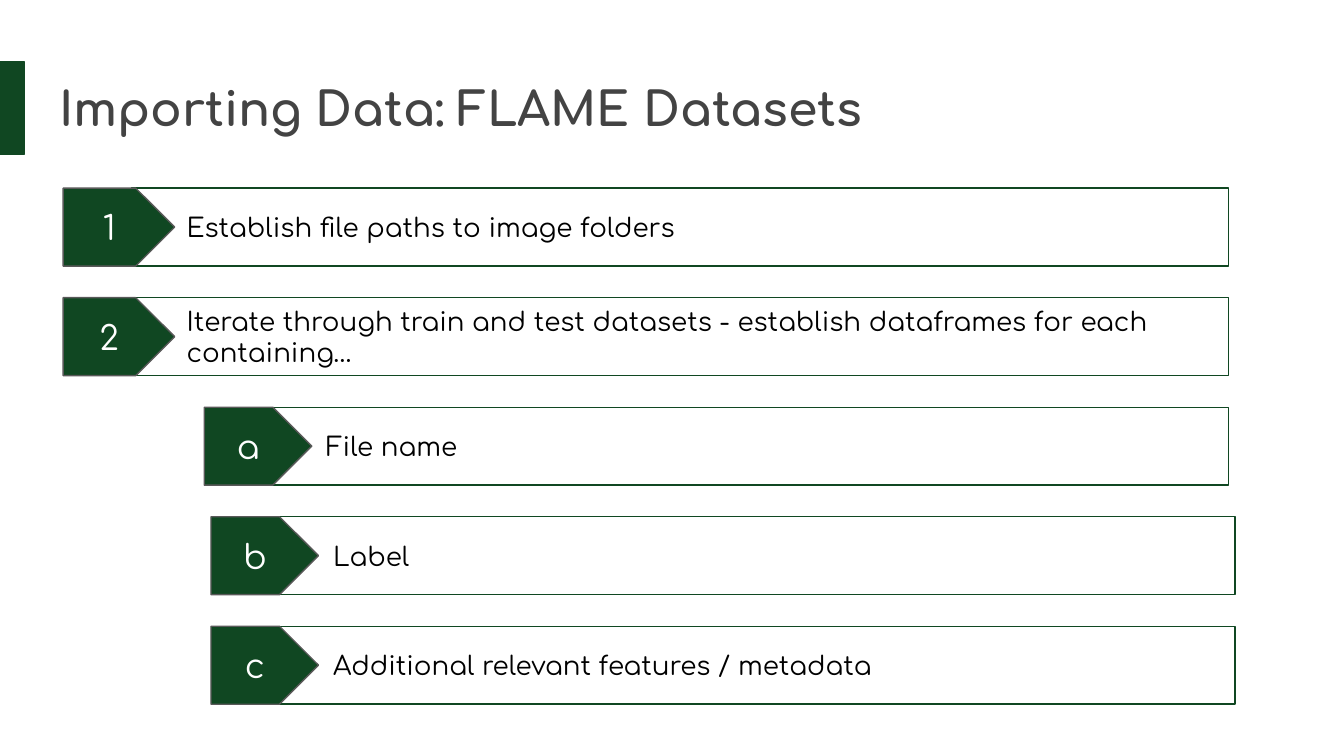
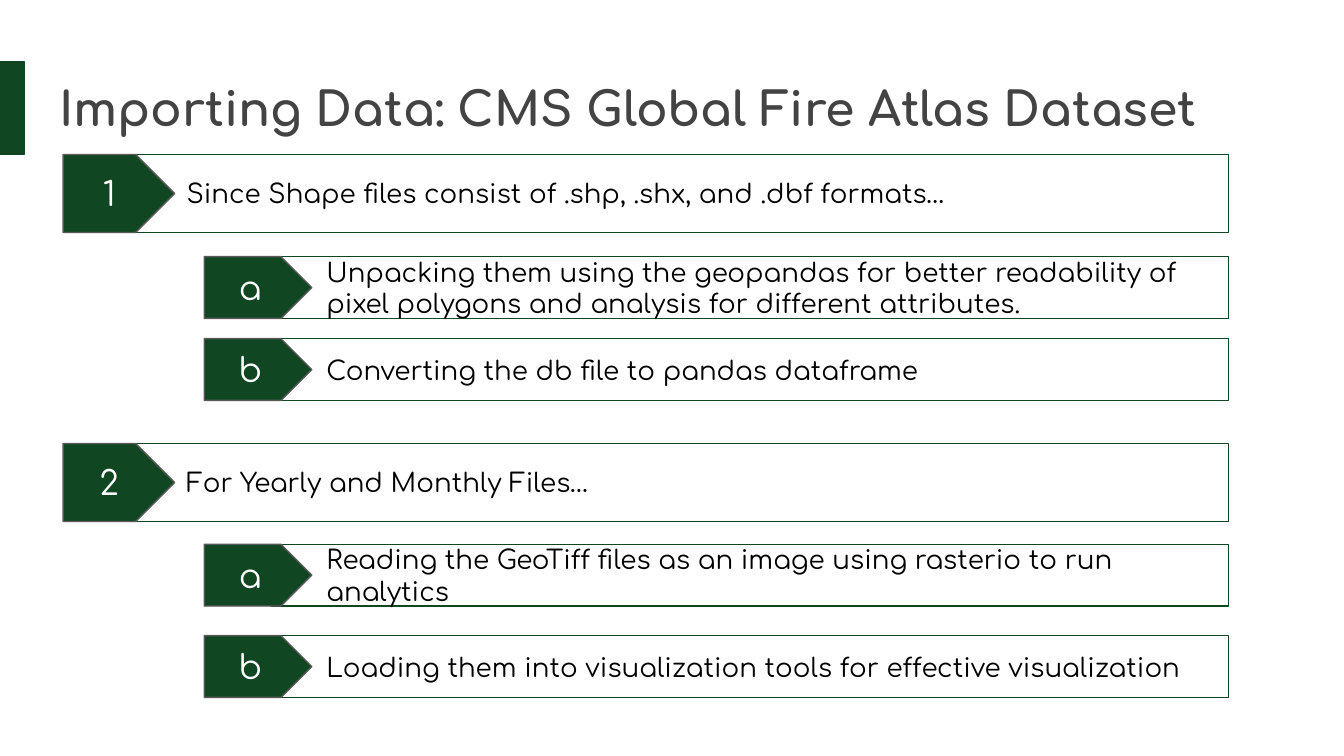
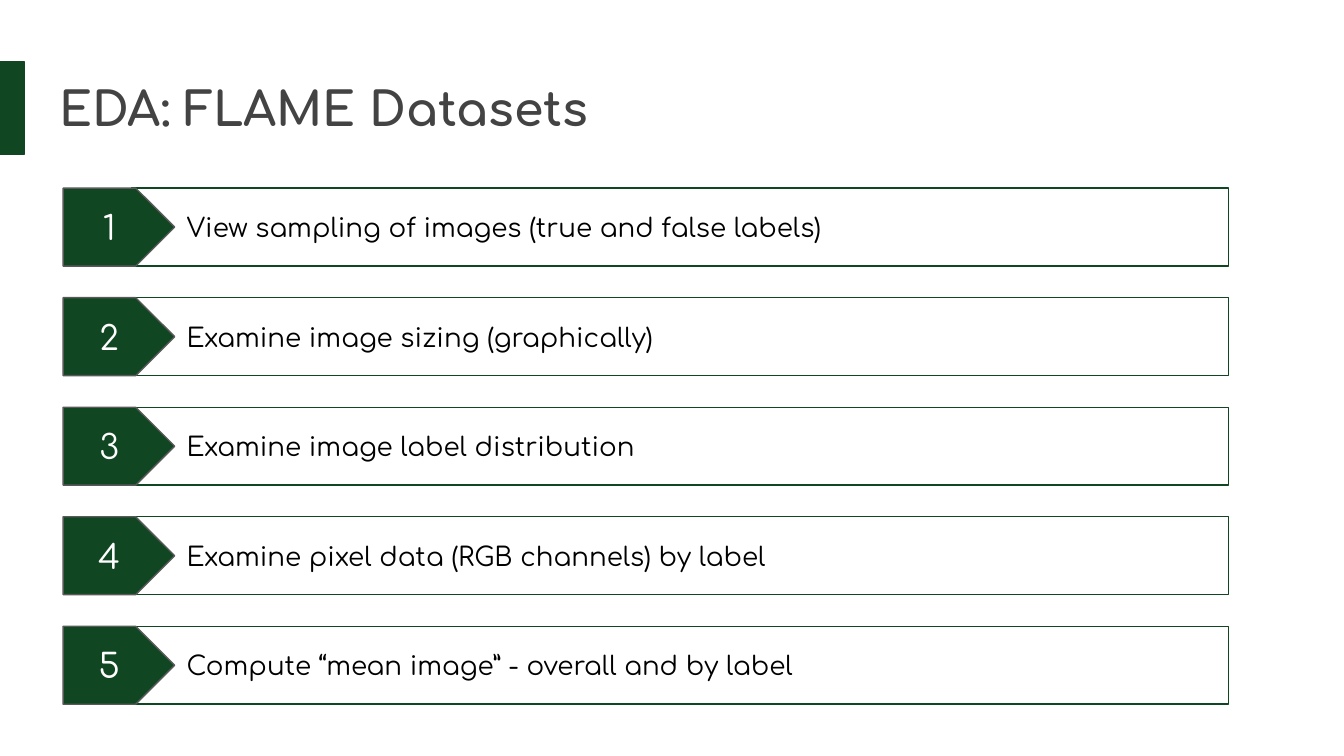
from dataclasses import dataclass

from pptx import Presentation
from pptx.dml.color import RGBColor
from pptx.enum.shapes import MSO_SHAPE
from pptx.enum.text import MSO_ANCHOR, MSO_AUTO_SIZE, PP_ALIGN
from pptx.util import Inches, Pt

SLIDE_WIDTH = 10
SLIDE_HEIGHT = SLIDE_WIDTH * 9 / 16
FONT = "Comfortaa"
GREEN, GREY, TITLE_GREY = "104722", "595959", "434343"
WHITE, BLACK = "FFFFFF", "000000"
INSET = 0.1
TEXT_INDENT = 0.31
FIRST_ROW, LAST_ROW, ROWS = 1.4, 4.66, 5
TALL, SHORT = 0.58, 0.46
TITLE_BOUNDS = (0.34, 0.49, 9.32, 0.63)
BAND_BOUNDS = (0, 0.46, 0.18, 0.69)


@dataclass(frozen=True)
class Level:
    """Horizontal layout of a step: its tag, and the box that starts behind it."""
    left: float
    tag_width: float
    box_left: float
    box_width: float


MAIN = Level(0.47, 0.83, 0.98, 8.16)
SUB = Level(1.52, 0.8, 2.02, 7.12)
SUB_SHIFTED = Level(1.57, 0.8, 2.07, 7.12)


def color(code):
    return RGBColor.from_string(code)


def row_top(row):
    return FIRST_ROW + row * (LAST_ROW - FIRST_ROW) / (ROWS - 1)


def set_frame(shape, anchor):
    frame = shape.text_frame
    frame.word_wrap = True
    frame.auto_size = MSO_AUTO_SIZE.NONE
    frame.vertical_anchor = anchor
    frame.margin_left = frame.margin_right = Inches(INSET)
    frame.margin_top = frame.margin_bottom = Inches(INSET)


def write(shape, text, size, code, align=PP_ALIGN.LEFT, bold=False):
    para = shape.text_frame.paragraphs[0]
    para.alignment = align
    span = para.add_run()
    span.text = text
    span.font.name = FONT
    span.font.size = Pt(size)
    span.font.bold = bold
    span.font.color.rgb = color(code)
    return para


def add_block(shapes, preset, bounds, fill, line):
    block = shapes.add_shape(preset, *(Inches(length) for length in bounds))
    block.shadow.inherit = False
    block.fill.solid()
    block.fill.fore_color.rgb = color(fill)
    block.line.color.rgb = color(line)
    block.line.width = Pt(0.75)
    set_frame(block, MSO_ANCHOR.MIDDLE)
    return block


def add_step(page, label, text, level, top, height=TALL):
    """Group a text box with the arrow-shaped tag that overlaps its left end."""
    shapes = page.shapes.add_group_shape().shapes
    box = add_block(shapes, MSO_SHAPE.RECTANGLE,
                    (level.box_left, top, level.box_width, height), WHITE, GREEN)
    para = write(box, text, 14, BLACK)
    indents = para._p.get_or_add_pPr()
    indents.set("marL", str(Inches(TEXT_INDENT)))
    indents.set("indent", "0")

    tag = add_block(shapes, MSO_SHAPE.PENTAGON,
                    (level.left, top, level.tag_width, height), GREEN, GREY)
    tag.adjustments[0] = 0.5
    write(tag, label, 18, WHITE, PP_ALIGN.CENTER)


def add_page(deck, layout, heading):
    page = deck.slides.add_slide(layout)
    if len(deck.slides) == 1:
        # The band belongs to the layout, so that every page shows it.
        band = add_block(page.shapes, MSO_SHAPE.RECTANGLE, BAND_BOUNDS, GREEN, GREEN)
        layout.shapes.element.append(band.element)
    title = page.shapes.title
    title.left, title.top, title.width, title.height = map(Inches, TITLE_BOUNDS)
    set_frame(title, MSO_ANCHOR.TOP)
    write(title, heading, 25.2, TITLE_GREY, bold=True)
    return page


def add_flame_import(deck, layout):
    page = add_page(deck, layout, "Importing Data: FLAME Datasets")
    steps = [
        ("1", "Establish file paths to image folders", MAIN),
        ("2", "Iterate through train and test datasets - establish dataframes "
              "for each containing…", MAIN),
        ("a", "File name", SUB),
        ("b", "Label", SUB_SHIFTED),
        ("c", "Additional relevant features / metadata", SUB_SHIFTED),
    ]
    for row, (label, text, level) in enumerate(steps):
        add_step(page, label, text, level, row_top(row))


def add_atlas_import(deck, layout):
    page = add_page(deck, layout, "Importing Data: CMS Global Fire Atlas Dataset")
    sections = [
        ("1", "Since Shape files consist of .shp, .shx, and .dbf formats…", 1.15, [
            ("a", "Unpacking them using the geopandas for better readability of "
                  "pixel polygons and analysis for different attributes.", 1.91),
            ("b", "Converting the db file to pandas dataframe", 2.52),
        ]),
        ("2", "For Yearly and Monthly Files…", 3.3, [
            ("a", "Reading the GeoTiff files as an image using rasterio to run "
                  "analytics", 4.05),
            ("b", "Loading them into visualization tools for effective "
                  "visualization", 4.73),
        ]),
    ]
    for label, text, top, substeps in sections:
        add_step(page, label, text, MAIN, top)
        for sub_label, sub_text, sub_top in substeps:
            add_step(page, sub_label, sub_text, SUB, sub_top, SHORT)


def add_flame_eda(deck, layout):
    page = add_page(deck, layout, "EDA: FLAME Datasets")
    steps = [
        "View sampling of images (true and false labels)",
        "Examine image sizing (graphically)",
        "Examine image label distribution",
        "Examine pixel data (RGB channels) by label",
        "Compute “mean image” - overall and by label",
    ]
    for row, text in enumerate(steps):
        add_step(page, str(row + 1), text, MAIN, row_top(row))


def main():
    deck = Presentation()
    deck.slide_width, deck.slide_height = Inches(SLIDE_WIDTH), Inches(SLIDE_HEIGHT)
    layout = deck.slide_layouts.get_by_name("Title Only")
    add_flame_import(deck, layout)
    add_atlas_import(deck, layout)
    add_flame_eda(deck, layout)
    deck.save("out.pptx")


if __name__ == "__main__":
    main()
